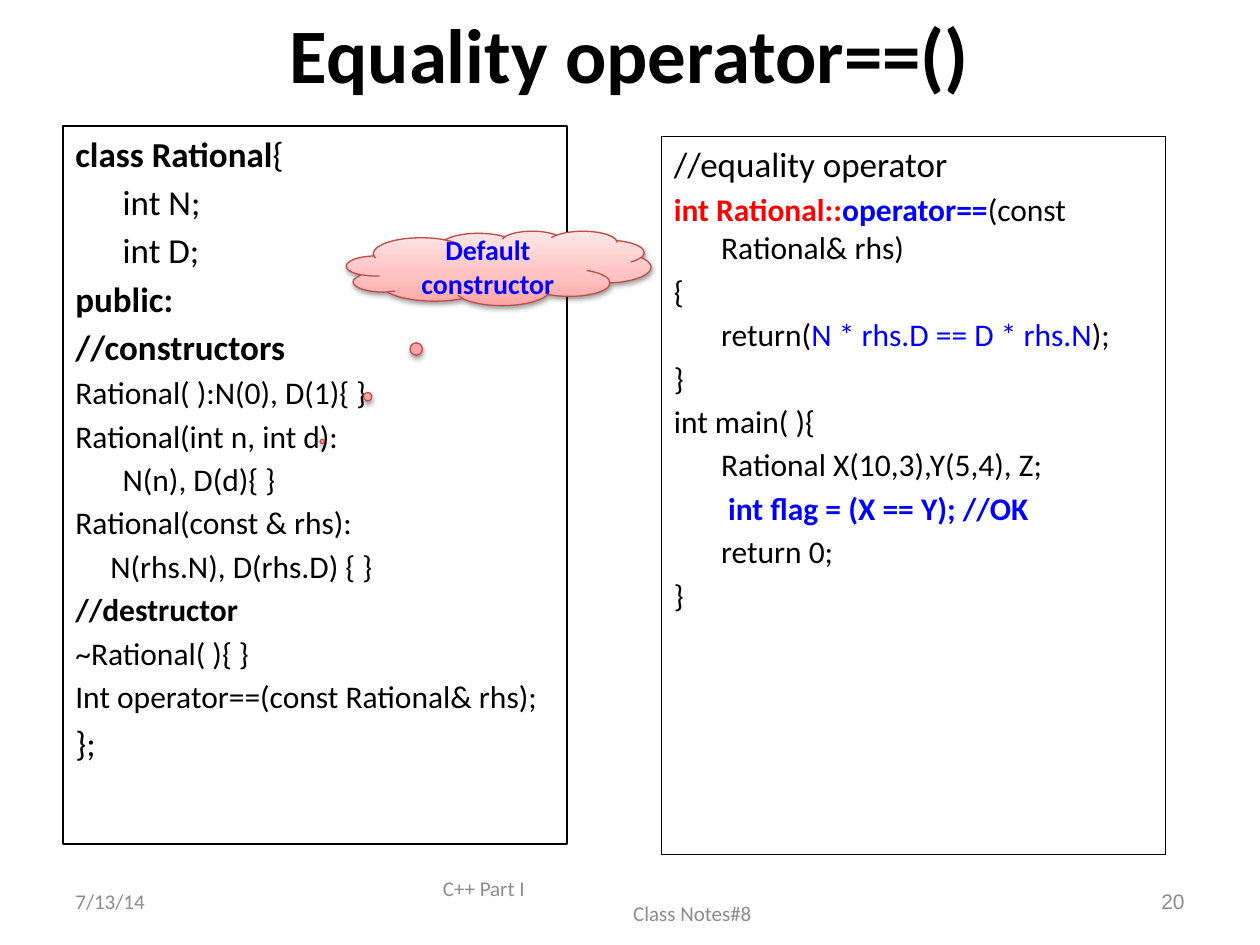
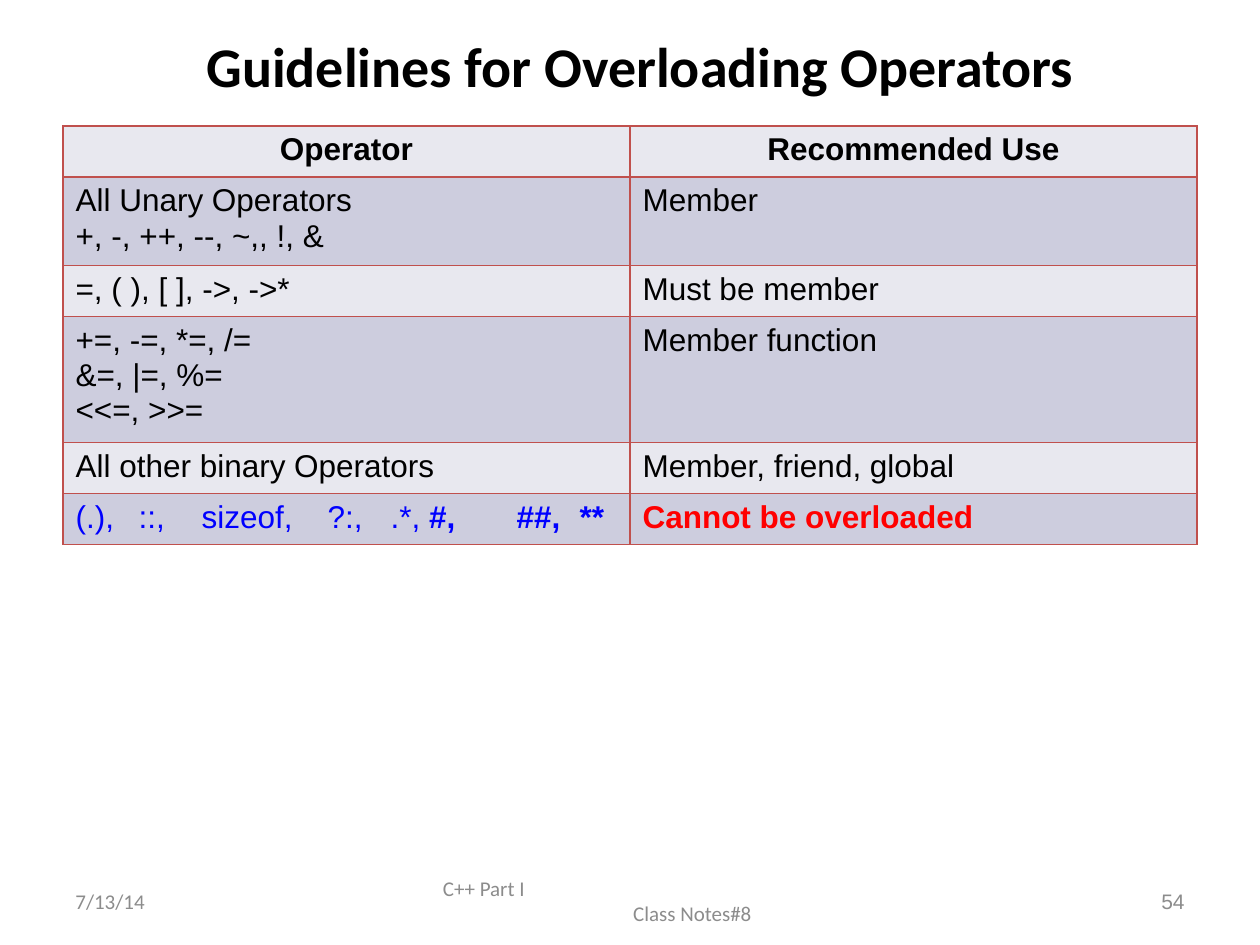
from lxml import etree
from pptx import Presentation
from pptx.dml.color import RGBColor
from pptx.enum.shapes import MSO_SHAPE
from pptx.enum.text import MSO_ANCHOR, PP_ALIGN
from pptx.oxml import parse_xml
from pptx.oxml.ns import nsdecls, qn
from pptx.util import Pt

RECT, CLOUD = MSO_SHAPE.RECTANGLE, MSO_SHAPE.CLOUD_CALLOUT
TOP, MIDDLE = MSO_ANCHOR.TOP, MSO_ANCHOR.MIDDLE
LEFT, CENTER, RIGHT = PP_ALIGN.LEFT, PP_ALIGN.CENTER, PP_ALIGN.RIGHT

BLACK, BLUE, RED, GRAY = "000000", "0000FF", "FF0000", "8C8C8C"
BOLD = {"bold": True}
BLUE_TEXT = {"color": BLUE}
BLUE_BOLD = {"color": BLUE, "bold": True}
RED_BOLD = {"color": RED, "bold": True}
STEP = 27

CLASS_LINES = [
    (20, 0, [("class Rational", BOLD), "{"]),
    (20, STEP, ["int N;"]),
    (20, STEP, ["int D;"]),
    (20, 0, [("public:", BOLD)]),
    (20, 0, [("//constructors", BOLD)]),
    (18, 0, ["Rational( ):N(0), D(1){ }"]),
    (18, 0, ["Rational(int n, int d):"]),
    (18, STEP, ["N(n), D(d){ }"]),
    (18, 0, ["Rational(const & rhs):"]),
    (18, 20, ["N(rhs.N), D(rhs.D) { }"]),
    (18, 0, [("//destructor", BOLD)]),
    (18, 0, ["~Rational( ){ }"]),
    (18, 0, ["Int operator==(const Rational& rhs);"]),
    (20, 0, ["};"]),
]
EQUALITY_LINES = [
    (20, 0, ["//equality operator"]),
    (18, 0, [("int Rational::", RED_BOLD), ("operator==", BLUE_BOLD),
             "(const Rational& rhs)"]),
    (18, 0, ["{"]),
    (18, STEP, ["return(", ("N * rhs.D == D * rhs.N", BLUE_TEXT), ");"]),
    (18, 0, ["}"]),
    (18, 0, ["int main( ){"]),
    (18, STEP, ["Rational X(10,3),Y(5,4), Z;"]),
    (18, 31, [("int flag = (X == Y); //OK", BLUE_BOLD)]),
    (18, STEP, ["return 0;"]),
    (18, 0, ["}"]),
]
GUIDELINES = [
    (["Operator"], "Recommended Use", {"align": CENTER, "bold": True}),
    (["All Unary Operators", "+, -, ++, --, ~,, !, &"], "Member", {}),
    (["=, ( ), [ ], ->, ->*"], "Must be member", {}),
    (["+=, -=, *=, /=", "&=, |=, %=", "<<=, >>="], "Member function", {}),
    (["All other binary Operators"], "Member, friend, global", {}),
    ([], "Cannot be overloaded", RED_BOLD),
]
FIXED_OPERATORS = [("(.),\t::,\tsizeof,\t?:,\t.*, ", BLUE_TEXT),
                   ("#,\t##,\t**", BLUE_BOLD)]
FIXED_TABS = (32, 56.6, 118.3, 149, 201, 235.4)


def rgb(value):
    """Turn a hex string into a colour."""
    return RGBColor.from_string(value)


def add_text(tf, *runs, align=LEFT, left=0, hang=0, before=0, tabs=(), **fmt):
    """Write one paragraph of strings or (string, format) pairs."""
    p = tf.paragraphs[0]
    if p.runs:
        p = tf.add_paragraph()
    p.alignment, p.space_before = align, Pt(before)
    pPr = p._p.get_or_add_pPr()
    pPr.set("marL", str(Pt(left)))
    pPr.set("indent", str(Pt(-hang)))
    if tabs:
        tab_list = etree.SubElement(pPr, qn("a:tabLst"))
        for pos in tabs:
            etree.SubElement(tab_list, qn("a:tab"), pos=str(Pt(pos)), algn="l")
    for run in runs:
        text, own = (run, {}) if isinstance(run, str) else run
        style = {"size": 18, "font": "Calibri", "color": BLACK, "bold": False, **fmt, **own}
        r = p.add_run()
        r.text = text
        r.font.size, r.font.name = Pt(style["size"]), style["font"]
        r.font.bold, r.font.color.rgb = style["bold"], rgb(style["color"])


class Deck:
    """Hold the shared style and the current slide."""

    def __init__(self):
        """Start an empty 4:3 presentation."""
        self.prs = Presentation()
        self.prs.slide_width, self.prs.slide_height = Pt(720), Pt(540)

    def new_slide(self, number):
        """Add a blank slide with its footer."""
        self.slide = self.prs.slides.add_slide(self.prs.slide_layouts[6])
        small = {"size": 12, "color": GRAY}
        y, h = 500.4, 28.8
        add_text(self.text_box(36, y, 168, h), "7/13/14", **small)
        tf = self.text_box(246, y, 228, h)
        add_text(tf, "C++ Part I", **small)
        add_text(tf, "Class Notes#8", left=108.7, **small)
        add_text(self.text_box(516, y, 168, h), number, align=RIGHT, font="Arial", **small)

    def text_box(self, x, y, w, h):
        """Add a wrapping, vertically centred text box."""
        tf = self.slide.shapes.add_textbox(Pt(x), Pt(y), Pt(w), Pt(h)).text_frame
        tf.word_wrap, tf.vertical_anchor = True, MIDDLE
        return tf

    def title(self, text, x, h, size):
        """Add the slide title."""
        add_text(self.text_box(x, 0, 648, h), text, align=CENTER, size=size, bold=True)

    def shape(self, kind, x, y, w, h, line, anchor):
        """Add an unfilled outlined shape."""
        sp = self.slide.shapes.add_shape(kind, Pt(x), Pt(y), Pt(w), Pt(h))
        sp.shadow.inherit = False
        sp.fill.background()
        sp.line.color.rgb, sp.line.width = rgb(line), Pt(0.75)
        sp.text_frame.word_wrap, sp.text_frame.vertical_anchor = True, anchor
        return sp

    def code(self, x, y, lines):
        """Add a framed code listing."""
        sp = self.shape(RECT, x, y, 288, 410.4, BLACK, TOP)
        for size, left, runs in lines:
            add_text(sp.text_frame, *runs, size=size, left=left or STEP,
                     hang=0 if left else STEP, before=0.18 * size)

    def callout(self, text, x, y, w, h, tail):
        """Add a shaded cloud callout with its tail."""
        sp = self.shape(CLOUD, x, y, w, h, "BF4C48", MIDDLE)
        sp.adjustments[0], sp.adjustments[1] = tail
        spPr = sp._element.spPr
        stops = "".join(
            f'<a:gs pos="{pos * 1000}"><a:srgbClr val="{color}"/></a:gs>'
            for pos, color in ((0, "FFA6A5"), (35, "FFC0BF"), (100, "FFE7E7")))
        spPr.replace(spPr.find(qn("a:noFill")), parse_xml(
            f'<a:gradFill {nsdecls("a")} rotWithShape="1"><a:gsLst>{stops}</a:gsLst>'
            '<a:lin ang="16200000" scaled="0"/></a:gradFill>'))
        spPr.find(qn("a:effectLst")).append(parse_xml(
            f'<a:outerShdw {nsdecls("a")} blurRad="{Pt(3.1)}" dist="{Pt(1.6)}" '
            'dir="5400000" rotWithShape="0"><a:srgbClr val="000000">'
            '<a:alpha val="38000"/></a:srgbClr></a:outerShdw>'))
        add_text(sp.text_frame, text, align=CENTER, size=16, **BLUE_BOLD)

    def cell(self, cell, fill):
        """Give a table cell its borders and fill."""
        tcPr = cell._tc.get_or_add_tcPr()
        for side in "LRTB":
            tcPr.append(parse_xml(
                f'<a:ln{side} {nsdecls("a")} w="{Pt(1)}"><a:solidFill>'
                f'<a:srgbClr val="C0504D"/></a:solidFill></a:ln{side}>'))
        cell.fill.solid()
        cell.fill.fore_color.rgb = rgb(fill)

    def guidelines(self, x, y, w, row_height):
        """Add the table of operators and their recommended use."""
        count = len(GUIDELINES)
        table = self.slide.shapes.add_table(
            count, 2, Pt(x), Pt(y), Pt(w), Pt(row_height * count)).table
        for i, (operators, use, fmt) in enumerate(GUIDELINES):
            table.rows[i].height = Pt(row_height)
            first, second = table.cell(i, 0), table.cell(i, 1)
            for c in (first, second):
                self.cell(c, "CDCDDE" if i % 2 else "E8E8EF")
            for text in operators:
                add_text(first.text_frame, text, font="Arial", **fmt)
            add_text(second.text_frame, use, font="Arial", **fmt)
        add_text(first.text_frame, *FIXED_OPERATORS, font="Arial", tabs=FIXED_TABS)


def main():
    """Build and save both slides."""
    deck = Deck()
    deck.new_slide("20")
    deck.title("Equality operator==()", 36, 60, 44)
    deck.code(36, 72, CLASS_LINES)
    deck.code(378, 78, EQUALITY_LINES)
    deck.callout("Default constructor", 198, 132, 174, 42.5, (-0.58, 2.33))

    deck.new_slide("54")
    deck.title("Guidelines for Overloading Operators", 42, 74, 32)
    deck.guidelines(36, 72, 648, 29.2)
    deck.prs.save("out.pptx")


if __name__ == "__main__":
    main()
